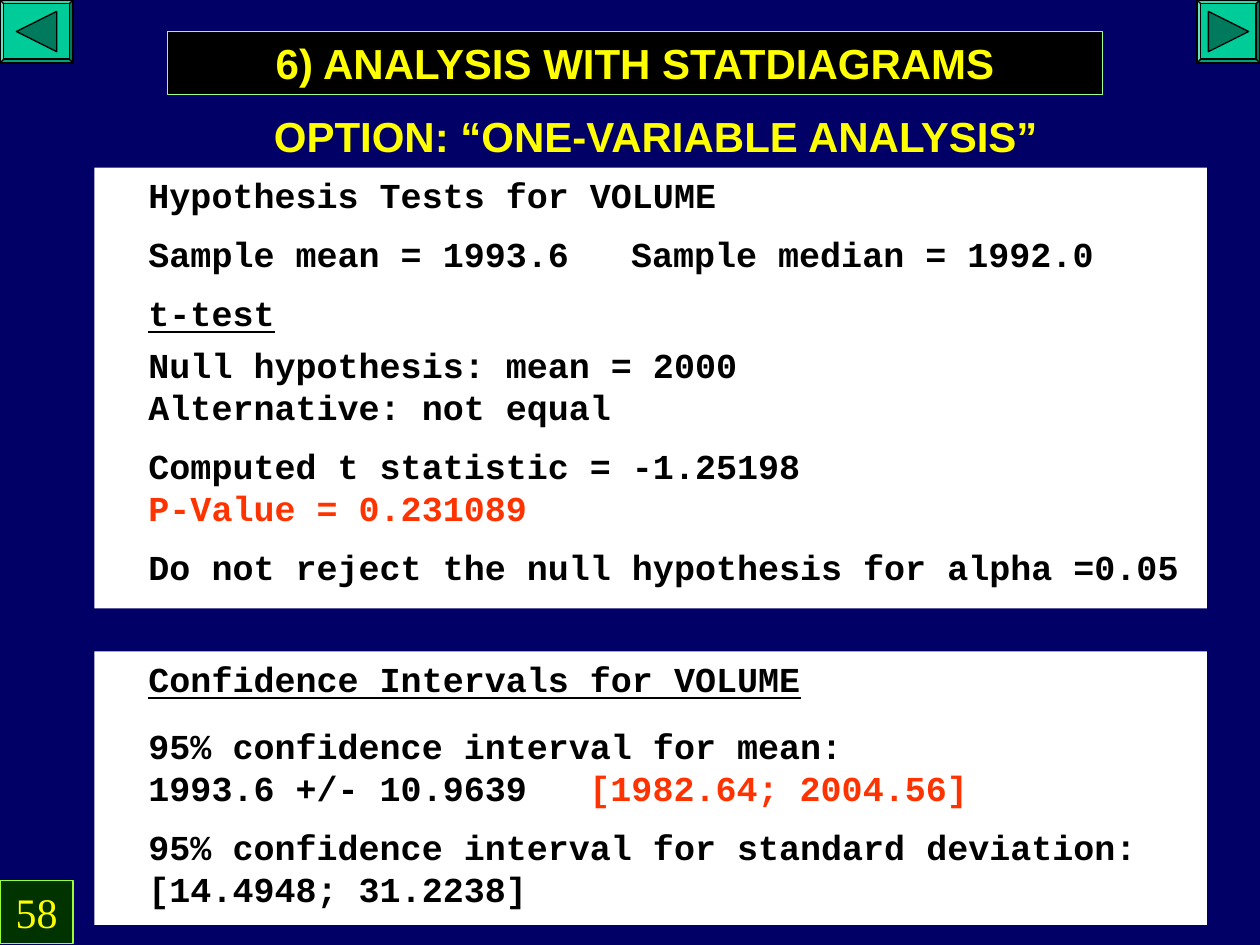
from dataclasses import dataclass

from lxml import etree
from pptx import Presentation
from pptx.dml.color import RGBColor
from pptx.enum.shapes import MSO_SHAPE
from pptx.enum.text import MSO_ANCHOR, PP_ALIGN
from pptx.oxml.ns import qn
from pptx.util import Inches, Pt

RECTANGLE = MSO_SHAPE.RECTANGLE
BEVEL = MSO_SHAPE.BEVEL
TOP = MSO_ANCHOR.TOP
LEFT, CENTER = PP_ALIGN.LEFT, PP_ALIGN.CENTER


@dataclass(frozen=True)
class Theme:
    background: str = "000066"
    button: str = "00CC99"
    arrow: str = "007A5C"
    black: str = "000000"
    white: str = "FFFFFF"
    yellow: str = "FFFF00"
    red: str = "FF3300"
    number_fill: str = "003300"
    number_line: str = "99FF33"
    title_line: str = "99FF99"
    heading_font: str = "Arial"
    output_font: str = "Courier New"
    number_font: str = "Times New Roman"
    heading_size: int = 24
    output_size: int = 20
    output_leading: int = 24
    line_width: float = 0.75


THEME = Theme()


def color(value):
    return RGBColor.from_string(value)


def style_shape(shape, fill, line=None):
    shape.shadow.inherit = False
    shape.fill.solid()
    shape.fill.fore_color.rgb = color(fill)
    if line:
        shape.line.color.rgb = color(line)
        shape.line.width = Pt(THEME.line_width)
    else:
        shape.line.fill.background()


def add_box(slide, left, top, width, height, fill, line=None, kind=RECTANGLE):
    shape = slide.shapes.add_shape(
        kind, Inches(left), Inches(top), Inches(width), Inches(height))
    style_shape(shape, fill, line)
    return shape


def add_text_box(slide, left, top, width, height):
    return slide.shapes.add_textbox(
        Inches(left), Inches(top), Inches(width), Inches(height))


def add_tab_stop(paragraph, position):
    tab_list = etree.SubElement(paragraph._p.get_or_add_pPr(), qn("a:tabLst"))
    etree.SubElement(tab_list, qn("a:tab"), pos=str(Inches(position)), algn="l")


def write_paragraph(paragraph, *parts, font, size, text_color, bold=True,
                    underline=False, align=LEFT, before=0, leading=None, tab=None):
    """Write parts as runs; a part is a text or a (text, colour) pair."""
    if tab:
        add_tab_stop(paragraph, tab)
    paragraph.alignment = align
    if before:
        paragraph.space_before = Pt(before)
    if leading:
        paragraph.line_spacing = Pt(leading)
    for part in parts:
        text, run_color = (part, text_color) if isinstance(part, str) else part
        run = paragraph.add_run()
        run.text = text
        run.font.name = font
        run.font.size = Pt(size)
        run.font.bold = bold
        run.font.underline = underline
        run.font.color.rgb = color(run_color)


def prepare_frame(shape):
    frame = shape.text_frame
    frame.word_wrap = True
    frame.vertical_anchor = TOP
    return frame


def write_heading(shape, text, font=THEME.heading_font, bold=True):
    write_paragraph(prepare_frame(shape).paragraphs[0], text, font=font, bold=bold,
                    size=THEME.heading_size, text_color=THEME.yellow, align=CENTER)


def add_button(slide, left, width, points):
    """Draw a bevelled button at the top edge with a triangle on it."""
    button = add_box(slide, left, 0, width, 0.5, THEME.button, THEME.black, BEVEL)
    button.adjustments[0] = 0.06
    start, *others = [(Inches(x), Inches(y)) for x, y in points]
    builder = slide.shapes.build_freeform(*start)
    builder.add_line_segments(others, close=True)
    style_shape(builder.convert_to_shape(), THEME.arrow, THEME.black)


def add_output_panel(slide, top, height, lines):
    """Add a white panel; each line is its parts and its paragraph format."""
    add_box(slide, 0.75, top, 8.83, height, THEME.white)
    frame = prepare_frame(add_text_box(slide, 1.08, top, 8.58, height - 0.1))
    for index, (parts, options) in enumerate(lines):
        paragraph = frame.add_paragraph() if index else frame.paragraphs[0]
        write_paragraph(paragraph, *parts, font=THEME.output_font,
                        size=THEME.output_size, text_color=THEME.black,
                        leading=THEME.output_leading, **options)


def line(*parts, **options):
    return parts, options


def main():
    presentation = Presentation()
    presentation.slide_width, presentation.slide_height = Inches(10), Inches(7.5)
    slide = presentation.slides.add_slide(presentation.slide_layouts[6])
    slide.background.fill.solid()
    slide.background.fill.fore_color.rgb = color(THEME.background)

    add_button(slide, 9.5, 0.5, [(9.59, 0.09), (9.91, 0.25), (9.59, 0.41)])
    add_button(slide, 0, 0.58, [(0.13, 0.25), (0.45, 0.09), (0.45, 0.41)])

    number = add_box(slide, 0, 6.99, 0.58, 0.5, THEME.number_fill, THEME.number_line)
    write_heading(number, "58", font=THEME.number_font, bold=False)
    title = add_box(slide, 1.33, 0.25, 7.42, 0.5, THEME.black, THEME.title_line)
    write_heading(title, "6) ANALYSIS WITH STATDIAGRAMS")
    write_heading(add_text_box(slide, 1.33, 0.83, 7.75, 0.5),
                  "OPTION: “ONE-VARIABLE ANALYSIS”")

    add_output_panel(slide, 1.33, 3.5, [
        line("Hypothesis Tests for VOLUME"),
        line("Sample mean = 1993.6\tSample median = 1992.0", before=9.6, tab=3.83),
        line("t-test", before=9.6, underline=True),
        line("Null hypothesis: mean = 2000", before=6),
        line("Alternative: not equal"),
        line("Computed t statistic = -1.25198", before=9.6),
        line(("P-Value = 0.231089", THEME.red)),
        line("Do not reject the null hypothesis for alpha =0.05", before=9.6),
    ])
    add_output_panel(slide, 5.17, 2.17, [
        line("Confidence Intervals for VOLUME", underline=True),
        line("95% confidence interval for mean:", before=14.4),
        line("1993.6 +/- 10.9639\t", ("[1982.64; 2004.56]", THEME.red), tab=3.5),
        line("95% confidence interval for standard deviation: [14.4948; 31.2238]",
             before=9.6),
    ])
    presentation.save("out.pptx")


if __name__ == "__main__":
    main()
